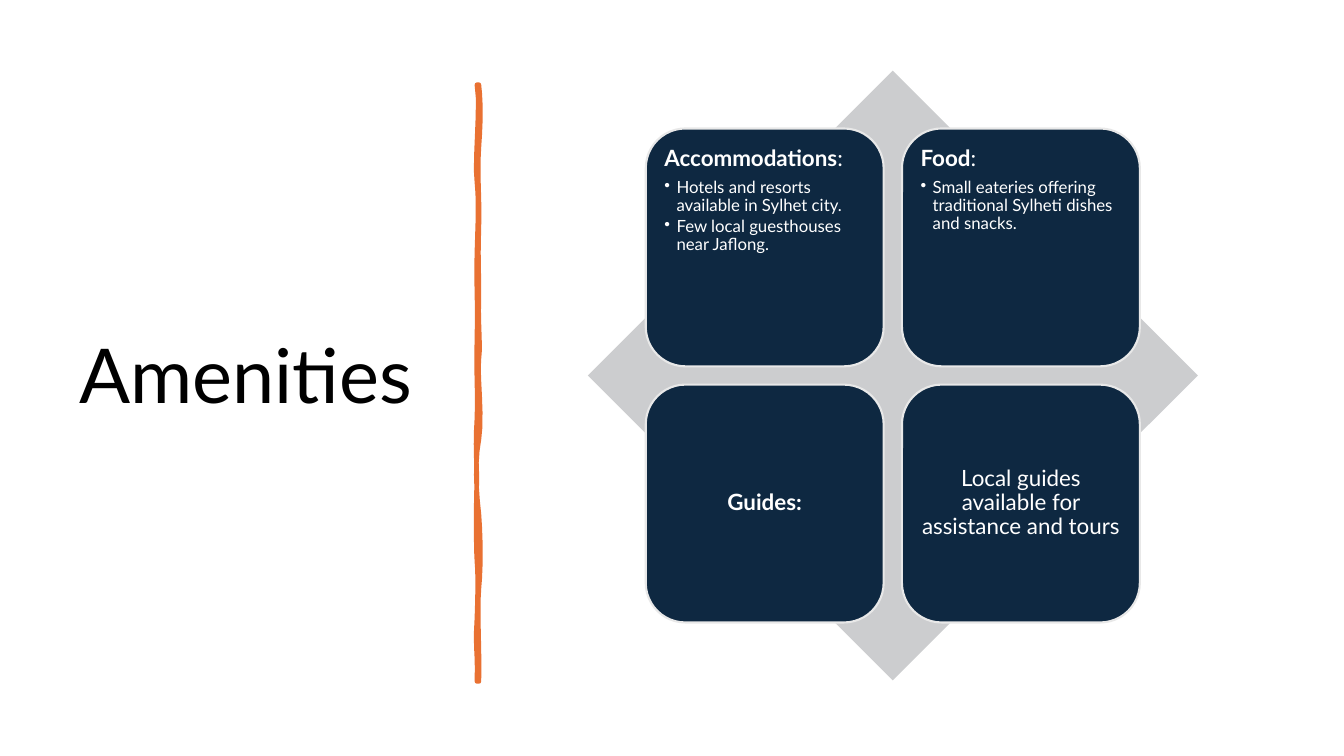
"""Build the Amenities slide: a title, a hand-drawn rule and a four-card matrix."""
import pptx
import pptx.dml.color
import pptx.enum.shapes
import pptx.enum.text
import pptx.oxml.ns
import pptx.util
from lxml import etree

inch = pptx.util.Inches
point = pptx.util.Pt
kinds = pptx.enum.shapes.MSO_SHAPE
align = pptx.enum.text.PP_ALIGN
anchor = pptx.enum.text.MSO_ANCHOR


def paint(part, fill, line=None, width=0):
    """Give a shape its fill and line from hex strings, without a shadow."""
    part.shadow.inherit = False
    part.fill.solid()
    part.fill.fore_color.rgb = pptx.dml.color.RGBColor.from_string(fill)
    if line:
        part.line.color.rgb = pptx.dml.color.RGBColor.from_string(line)
        part.line.width = point(width)
    else:
        part.line.fill.background()


def write(paragraph, words, **font):
    """Add a run in Lato with the given font values."""
    colour = font.pop("colour")
    run = paragraph.add_run()
    run.text = words
    run.font.color.rgb = pptx.dml.color.RGBColor.from_string(colour)
    for key, value in {"name": "Lato", **font}.items():
        setattr(run.font, key, value)
    paragraph.line_spacing = 0.9


deck = pptx.Presentation()
deck.slide_width, deck.slide_height = inch(13.33), inch(7.5)
slide = deck.slides.add_slide(deck.slide_layouts[6])

title = slide.shapes.add_textbox(inch(0.69), inch(0.7), inch(3.74), inch(6.11))
title.text_frame.word_wrap = True
title.text_frame.vertical_anchor = anchor.MIDDLE
write(title.text_frame.paragraphs[0], "Amenities", size=point(54), colour="000000")

rule_start = (4.75, 0.84)
rule_curves = [
    (4.77, 1.02, 4.77, 1.19, 4.75, 1.46), (4.73, 1.73, 4.76, 1.95, 4.75, 2.26),
    (4.74, 2.57, 4.75, 2.62, 4.75, 2.94), (4.74, 3.25, 4.77, 3.42, 4.75, 3.56),
    (4.73, 3.7, 4.79, 4.14, 4.75, 4.36), (4.71, 4.57, 4.72, 4.84, 4.75, 5.1),
    (4.77, 5.36, 4.77, 5.64, 4.75, 5.84), (4.73, 6.03, 4.76, 6.5, 4.75, 6.76),
    (4.74, 6.76, 4.73, 6.76, 4.73, 6.76), (4.74, 6.46, 4.71, 6.44, 4.73, 6.13),
    (4.74, 5.83, 4.74, 5.7, 4.73, 5.57), (4.72, 5.44, 4.72, 4.95, 4.73, 4.77),
    (4.73, 4.59, 4.71, 4.45, 4.73, 4.15), (4.74, 3.86, 4.72, 3.73, 4.73, 3.35),
    (4.74, 2.98, 4.72, 2.81, 4.73, 2.5), (4.74, 2.18, 4.75, 2, 4.73, 1.81),
    (4.7, 1.63, 4.77, 1.04, 4.73, 0.84),
]
steps = 6
rule_points = []
x, y = rule_start
for x1, y1, x2, y2, x3, y3 in rule_curves:
    for step in range(1, steps + 1):
        t = step / steps
        weights = ((1 - t) ** 3, 3 * t * (1 - t) ** 2, 3 * t * t * (1 - t), t ** 3)
        rule_points.append((
            inch(sum(w * v for w, v in zip(weights, (x, x1, x2, x3)))),
            inch(sum(w * v for w, v in zip(weights, (y, y1, y2, y3)))),
        ))
    x, y = x3, y3
outline = slide.shapes.build_freeform(inch(rule_start[0]), inch(rule_start[1]))
outline.add_line_segments(rule_points, close=True)
rule = outline.convert_to_shape()
paint(rule, "E97132", "E97132", 3.25)
etree.SubElement(rule.line._get_or_add_ln(), pptx.oxml.ns.qn("a:round"))

matrix_left, matrix_top, matrix_side = inch(5.83), inch(0.7), inch(6.05)
diamond = slide.shapes.add_shape(
    kinds.DIAMOND, matrix_left, matrix_top, matrix_side, matrix_side)
paint(diamond, "CCCDCF")

card_side, card_margin, card_pitch = (
    int(matrix_side * share) for share in (0.39, 0.095, 0.42))
cards = [
    ("Accommodations", ":", ["Hotels and resorts available in Sylhet city.",
                             "Few local guesthouses near Jaflong."]),
    ("Food", ":", ["Small eateries offering traditional Sylheti dishes and snacks."]),
    ("Guides:", "", []),
    ("", "Local guides available for assistance and tours", []),
]
for index, (strong, plain, bullets) in enumerate(cards):
    row, column = divmod(index, 2)
    card = slide.shapes.add_shape(
        kinds.ROUNDED_RECTANGLE,
        matrix_left + card_margin + column * card_pitch,
        matrix_top + card_margin + row * card_pitch,
        card_side, card_side)
    paint(card, "0E2841", "E8E8E8", 1.5)
    frame = card.text_frame
    frame_format = {
        "word_wrap": True,
        "vertical_anchor": anchor.TOP if bullets else anchor.MIDDLE,
        **{f"margin_{side}": inch(0.07) for side in ("left", "top", "right", "bottom")},
    }
    for key, value in frame_format.items():
        setattr(frame, key, value)
    heading = frame.paragraphs[0]
    heading.alignment = align.LEFT if bullets else align.CENTER
    heading.space_after = point(5.6)
    for words, bold in ((strong, True), (plain, False)):
        if words:
            write(heading, words, size=point(16), bold=bold, colour="FFFFFF")
    for words in bullets:
        item = frame.add_paragraph()
        item.level = 1
        item.alignment = align.LEFT
        item.space_after = point(1.8)
        write(item, words, size=point(12), bold=False, colour="FFFFFF")
        properties = item._p.get_or_add_pPr()
        properties.set("marL", str(inch(0.12)))
        properties.set("indent", str(-inch(0.12)))
        etree.SubElement(properties, pptx.oxml.ns.qn("a:buChar"), char="•")

deck.save("out.pptx")
